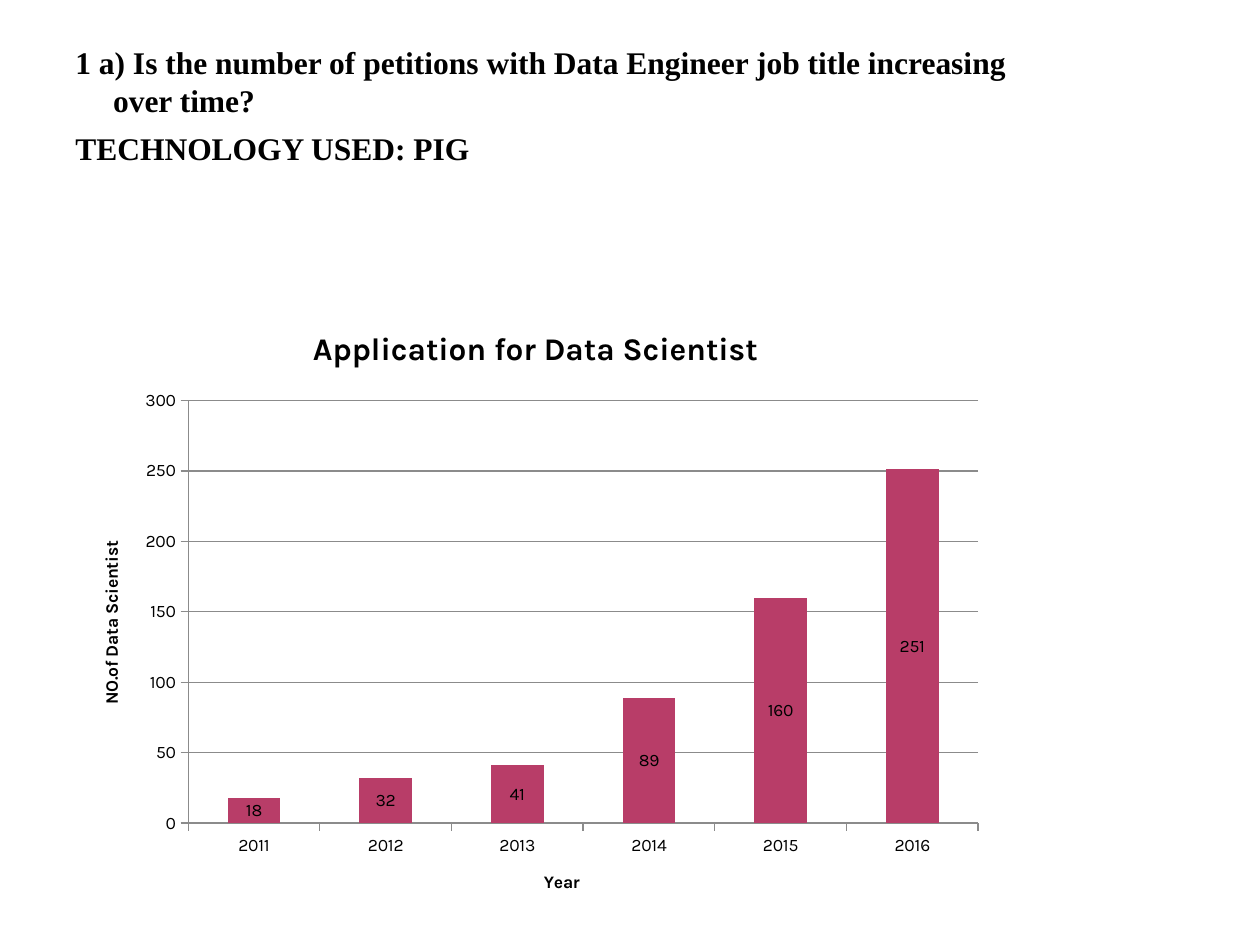
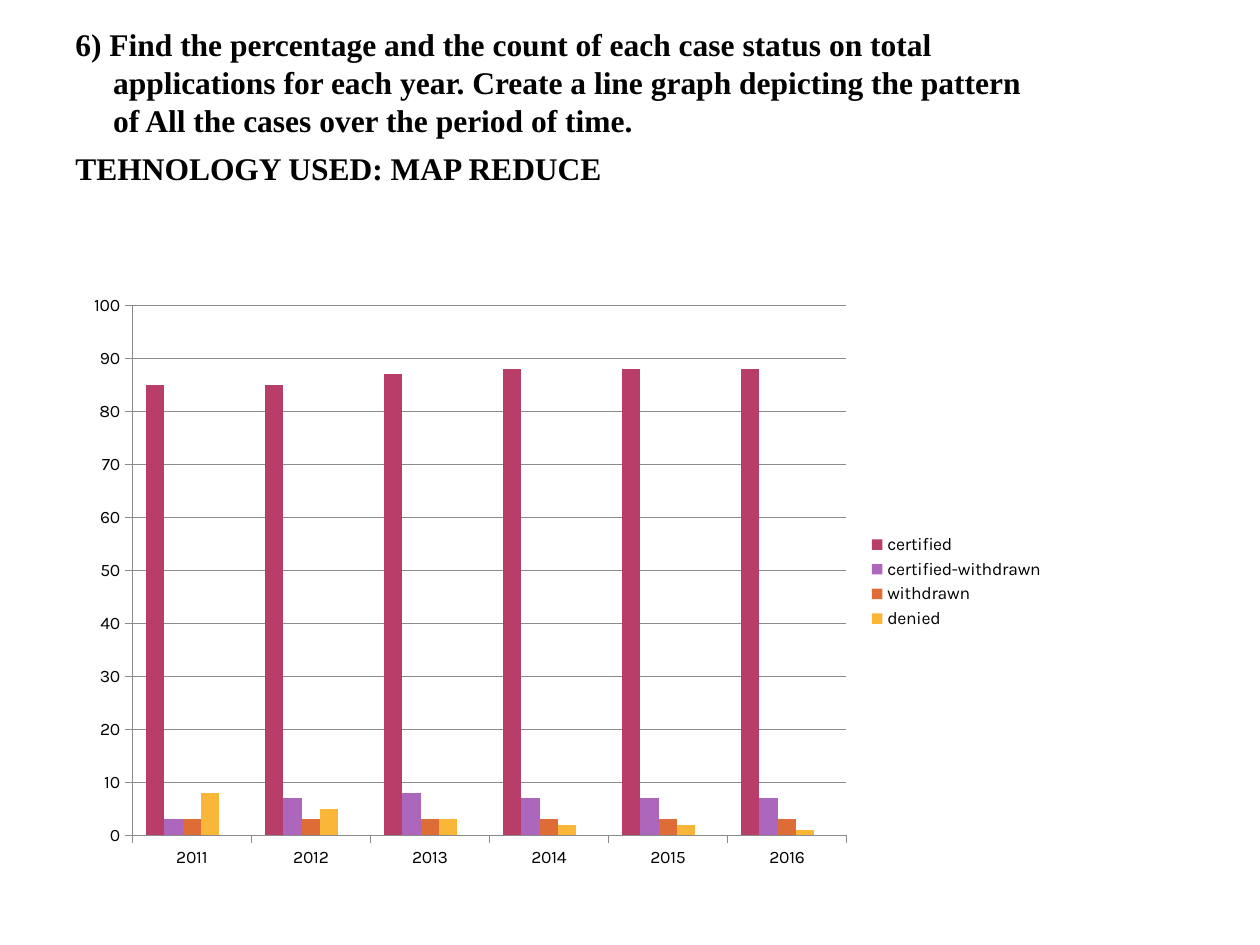
from lxml import etree
from pptx import Presentation
from pptx.chart.data import CategoryChartData
from pptx.dml.color import RGBColor
from pptx.enum.chart import (XL_CHART_TYPE, XL_LABEL_POSITION,
                             XL_LEGEND_POSITION, XL_TICK_MARK)
from pptx.oxml.ns import qn
from pptx.util import Cm, Pt

STACKED = XL_CHART_TYPE.COLUMN_STACKED
CLUSTERED = XL_CHART_TYPE.COLUMN_CLUSTERED
CENTER = XL_LABEL_POSITION.CENTER
RIGHT = XL_LEGEND_POSITION.RIGHT
OUTSIDE = XL_TICK_MARK.OUTSIDE

YEARS = ["2011", "2012", "2013", "2014", "2015", "2016"]


def rgb(color):
    """Turn a hex string into a colour."""
    return RGBColor.from_string(color)


class Deck:
    """Holds the shared style and the current slide."""

    HEADING_FONT, CHART_FONT = "Times New Roman", "Karla"
    HEADING_SIZE, CHART_SIZE = 18, 10
    INK, GRID = "000000", "8B8B8B"
    SERIES = ["B83D68", "AC66BB", "DE6C36", "F9B639", "CF6DA4"]
    LEFT, WIDTH, HANGING = 1.27, 20.12, 0.76

    def __init__(self):
        """Start an empty 4:3 presentation."""
        self.prs = Presentation()
        self.prs.slide_width, self.prs.slide_height = Cm(25.4), Cm(19.05)
        self.s = None

    def slide(self):
        """Add a blank white slide and make it current."""
        self.s = self.prs.slides.add_slide(self.prs.slide_layouts[6])
        fill = self.s.background.fill
        fill.solid()
        fill.fore_color.rgb = rgb("FFFFFF")

    def style(self, font, name, size, bold=False):
        """Set typeface, size, weight and ink colour of a font."""
        font.name, font.size, font.bold = name, Pt(size), bold
        font.color.rgb = rgb(self.INK)

    def question(self, top, height, lines):
        """Add the question and technology lines with hanging indents."""
        sp = self.s.shapes.add_textbox(Cm(self.LEFT), Cm(top),
                                       Cm(self.WIDTH), Cm(height))
        tf = sp.text_frame
        tf.word_wrap = True
        for i, line in enumerate(lines):
            p = tf.add_paragraph() if i else tf.paragraphs[0]
            p.space_before = Pt(6)
            pPr = p._p.get_or_add_pPr()
            pPr.set("marL", str(Cm(self.HANGING)))
            pPr.set("indent", str(-Cm(self.HANGING)))
            r = p.add_run()
            r.text = line
            self.style(r.font, self.HEADING_FONT, self.HEADING_SIZE, True)

    def title(self, owner, text, size):
        """Give a chart or an axis a bold title."""
        title = owner.chart_title if hasattr(owner, "chart_title") else owner.axis_title
        r = title.text_frame.paragraphs[0].add_run()
        r.text = text
        self.style(r.font, self.CHART_FONT, size, True)

    def columns(self, kind, box, series, top, step):
        """Add a column chart by year, with a value axis from 0 to top."""
        data = CategoryChartData()
        data.categories = YEARS
        for name, values in series:
            data.add_series(name, values)
        chart = self.s.shapes.add_chart(kind, *map(Cm, box), data).chart
        self.style(chart.font, self.CHART_FONT, self.CHART_SIZE)
        chart.has_title = chart.has_legend = False
        plot = chart.plots[0]
        plot.vary_by_categories = False
        plot.gap_width = 150
        plot.overlap = 100 if kind == STACKED else 0
        for ser, color in zip(plot.series, self.SERIES):
            ser.format.fill.solid()
            ser.format.fill.fore_color.rgb = rgb(color)
        values = chart.value_axis
        values.minimum_scale, values.maximum_scale = 0, top
        values.major_unit = step
        values.has_major_gridlines = True
        for axis in (chart.category_axis, values):
            axis.major_tick_mark = OUTSIDE
            self.line(axis.format.line)
        self.line(values.major_gridlines.format.line)
        return chart

    def line(self, line):
        """Draw an axis or grid line in thin grey."""
        line.color.rgb = rgb(self.GRID)
        line.width = Pt(0.75)

    def labels(self, chart):
        """Show the values in the middle of the columns."""
        plot = chart.plots[0]
        plot.has_data_labels = True
        labels = plot.data_labels
        labels.show_value = True
        labels.position = CENTER
        self.style(labels.font, self.CHART_FONT, self.CHART_SIZE)

    def legend(self, chart, hidden):
        """Put a legend at the right, without the entry of one series."""
        chart.has_legend = True
        legend = chart.legend
        legend.position = RIGHT
        legend.include_in_layout = False
        self.style(legend.font, self.CHART_FONT, self.CHART_SIZE)
        entry = etree.Element(qn("c:legendEntry"))
        etree.SubElement(entry, qn("c:idx")).set("val", str(hidden))
        etree.SubElement(entry, qn("c:delete")).set("val", "1")
        legend._element.find(qn("c:legendPos")).addnext(entry)


deck = Deck()

deck.slide()
deck.question(0.74, 17.22, [
    "1 a) Is the number of petitions with Data Engineer job title increasing over time?",
    "TECHNOLOGY USED: PIG"])
petitions = deck.columns(STACKED, (1.5, 6.12, 18.59, 12.4),
                         [("Series 1", [18, 32, 41, 89, 160, 251])], 300, 50)
deck.title(petitions, "Application for Data Scientist", 18)
deck.title(petitions.category_axis, "Year", 10)
deck.title(petitions.value_axis, "NO.of Data Scientist", 10)
deck.labels(petitions)

deck.slide()
deck.question(0.38, 17.55, [
    "6) Find the percentage and the count of each case status on total applications "
    "for each year. Create a line graph depicting the pattern of All the cases over "
    "the period of time.",
    "TEHNOLOGY USED: MAP REDUCE"])
# The empty fifth series keeps a free place at the end of each year.
statuses = deck.columns(CLUSTERED, (1.5, 5.72, 19.81, 12.01), [
    ("certified", [85, 85, 87, 88, 88, 88]),
    ("certified-withdrawn", [3, 7, 8, 7, 7, 7]),
    ("withdrawn", [3, 3, 3, 3, 3, 3]),
    ("denied", [8, 5, 3, 2, 2, 1]),
    ("Series 5", [None] * len(YEARS))], 100, 10)
deck.legend(statuses, hidden=4)

deck.prs.save("out.pptx")
